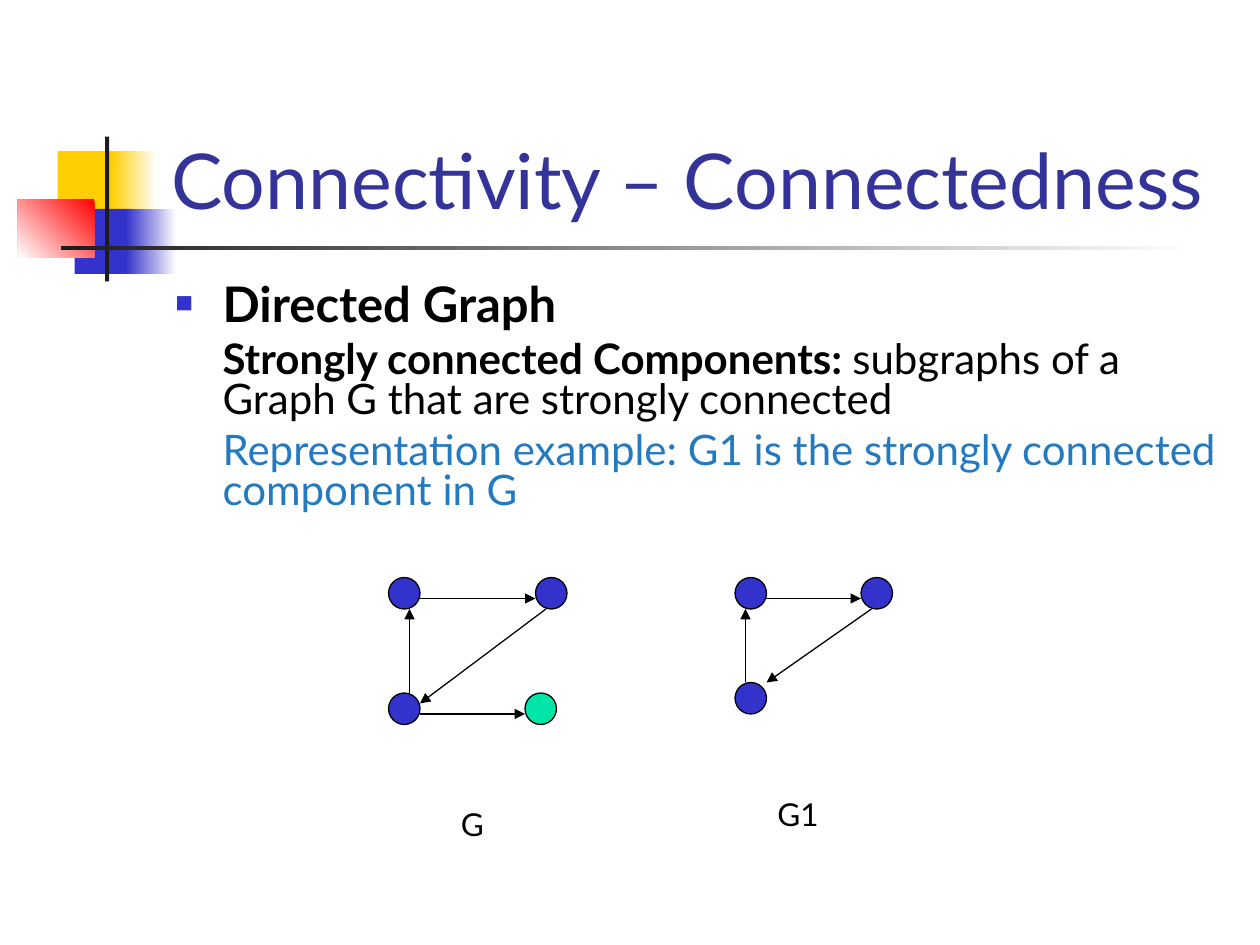
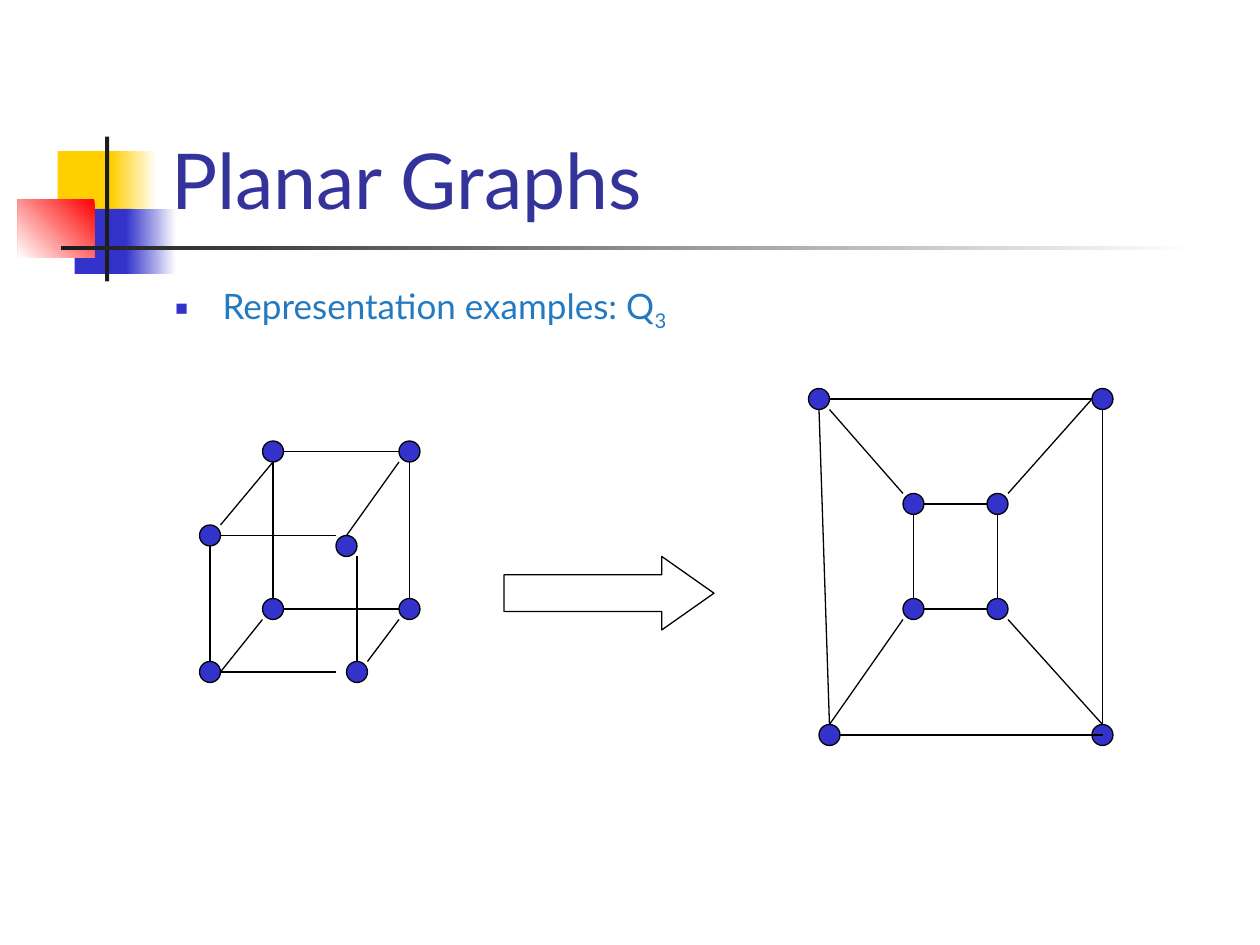
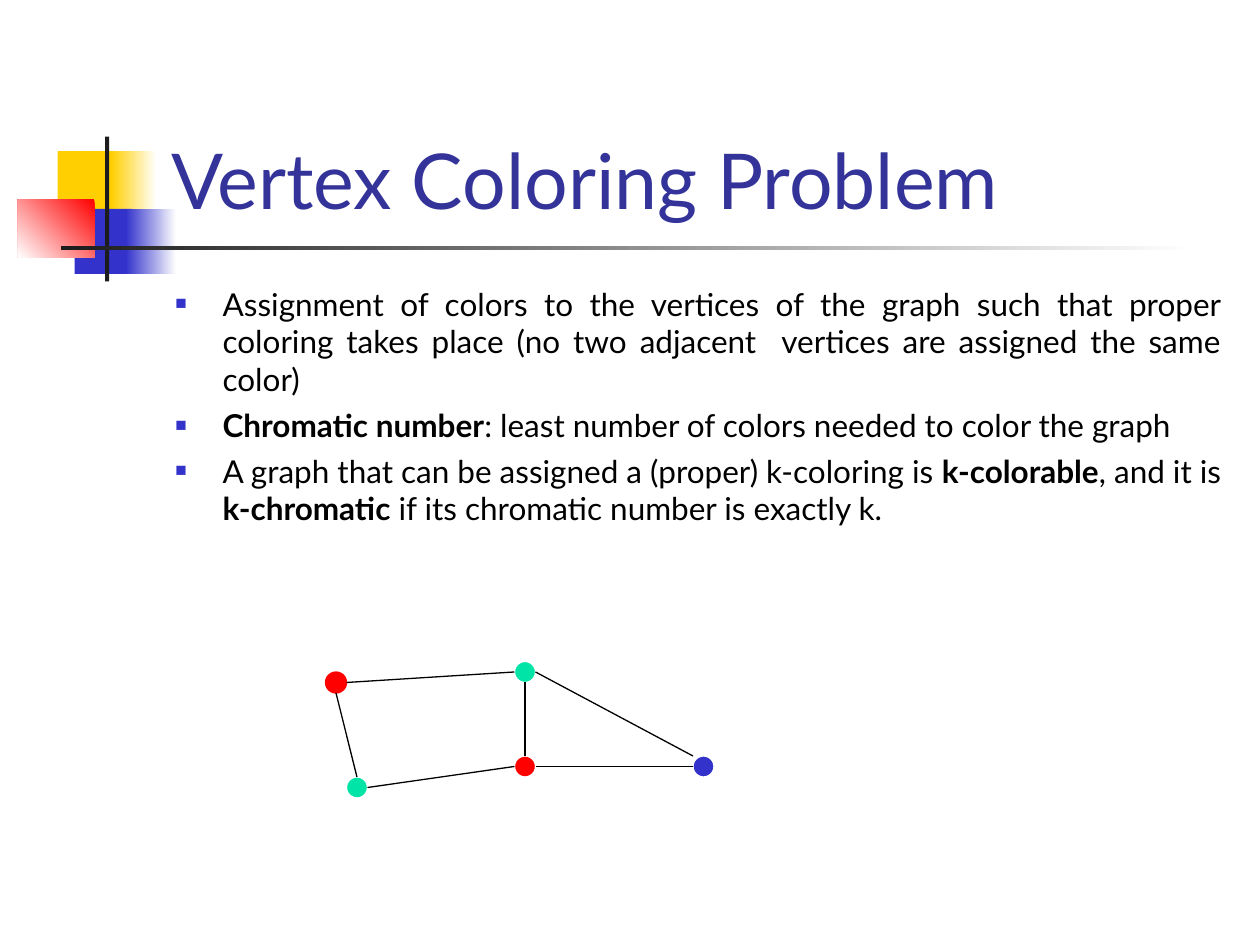
from lxml.etree import SubElement as Sub
from pptx import Presentation
from pptx.dml.color import RGBColor as Rgb
from pptx.enum.shapes import MSO_CONNECTOR as Link, MSO_SHAPE as Kind
from pptx.enum.text import MSO_ANCHOR as Anchor, MSO_AUTO_SIZE as Fit, PP_ALIGN as Align
from pptx.oxml.ns import qn
from pptx.util import Emu, Pt

PX = 7620
FONT = "Lato"
HUES = {
    "white": "FFFFFF", "black": "000000", "ink": "1C1C1C", "gold": "FFCF01",
    "blue": "3333CC", "red": "FF0000", "green": "00E4A8", "navy": "333399",
    "sky": "237AC1",
}
TITLE = (151, 28, 1022, 192)
BODY = (155, 265)
HANG = 45
DECOR = [
    ((55, 144, 58, 62), "gold"),
    ((106, 144, 43, 62), ("white", "gold", 180)),
    ((71, 199, 55, 62), "blue"),
    ((120, 199, 48, 62), ("white", "blue", 180)),
    ((17, 190, 73, 55), ("red", "white", 225)),
    ((100, 130, 4, 138), "ink"),
    ((58, 234, 1080, 4), ("white", "ink", 180)),
]
SLIDES = [
    {
        "title": "Connectivity – Connectedness",
        "body": {"size": (1025, 235), "gap": 6, "lead": 0.8, "align": Align.LEFT},
        "paras": [
            (True, 28, "black", [("Directed Graph", True)]),
            (False, 24, "black", [
                ("Strongly connected Components: ", True),
                ("subgraphs of a Graph G that are strongly connected", False)]),
            (False, 24, "sky", [
                ("Representation example: G1 is the strongly connected component in G", False)]),
        ],
        "dot": 30,
        "nodes": [
            ("blue", "black", [(370, 550), (510, 550), (370, 660),
                               (700, 650), (820, 550), (700, 550)]),
            ("green", "black", [(500, 660)]),
        ],
        "heads": True,
        "edges": [
            (400, 570, 510, 570), (390, 660, 390, 580),
            (520, 580, 400, 670), (400, 680, 500, 680),
            (710, 650, 710, 580), (730, 570, 820, 570), (830, 580, 730, 650),
        ],
        "labels": [("G1", (740, 760, 40, 30)), ("G", (430, 770, 40, 30))],
    },
    {
        "title": "Planar Graphs",
        "body": {"size": (1020, 65), "gap": 5, "lead": 1.0, "align": Align.LEFT},
        "paras": [
            (True, 20, "sky", [("Representation examples: Q", False), ("3", False, -25000)]),
        ],
        "dot": 20,
        "nodes": [
            ("blue", "black", [
                (770, 370), (1040, 370), (780, 690), (1040, 690),
                (860, 470), (940, 470), (860, 570), (940, 570),
                (250, 420), (380, 420), (250, 570), (380, 570),
                (190, 500), (320, 510), (190, 630), (330, 630)]),
        ],
        "edges": [
            (790, 390, 860, 470), (960, 470, 1040, 380),
            (960, 590, 1050, 690), (790, 690, 860, 590),
            (880, 480, 940, 480), (880, 580, 940, 580),
            (870, 490, 870, 570), (950, 490, 950, 570),
            (790, 380, 1040, 380), (780, 390, 790, 690),
            (800, 700, 1050, 700), (1050, 390, 1050, 690),
            (270, 430, 380, 430), (270, 580, 380, 580),
            (260, 440, 260, 570), (390, 440, 390, 570),
            (210, 510, 320, 510), (210, 640, 320, 640),
            (200, 520, 200, 630), (340, 530, 340, 630),
            (210, 500, 260, 440), (330, 510, 380, 440),
            (210, 640, 250, 590), (350, 630, 380, 590),
        ],
        "arrow": (480, 530, 200, 70),
    },
    {
        "title": "Vertex Coloring Problem",
        "body": {"size": (1020, 286), "gap": 4.5, "lead": 1.0, "align": Align.JUSTIFY},
        "paras": [
            (True, 18, "black", [
                ("Assignment of colors to the vertices of the graph such that proper coloring "
                 "takes place (no two adjacent  vertices are assigned the same color)", False)]),
            (True, 18, "black", [
                ("Chromatic number", True),
                (": least number of colors needed to color the graph", False)]),
            (True, 18, "black", [
                ("A graph that can be assigned a (proper) k-coloring is ", False),
                ("k-colorable", True), (", and it is ", False), ("k-chromatic", True),
                (" if its chromatic number is exactly k.", False)]),
        ],
        "dot": 20,
        "nodes": [
            ("red", "red", [(310, 640)]),
            ("green", "white", [(330, 740), (490, 630)]),
            ("blue", "white", [(660, 720)]),
            ("red", "white", [(490, 720)]),
        ],
        "edges": [
            (330, 650, 490, 640), (320, 660, 340, 740), (350, 750, 490, 730),
            (500, 650, 500, 720), (510, 640, 660, 720), (510, 730, 660, 730),
        ],
    },
]


def rgb(name):
    return Rgb.from_string(HUES[name])


def emu(box):
    return [Emu(n * PX) for n in box]


def put(item, vals):
    for key, val in vals.items():
        setattr(item, key, val)


def place(item, box):
    put(item, dict(zip(("left", "top", "width", "height"), emu(box))))


def write(para, text, size, hue, bold=False, base=None):
    run = para.add_run()
    run.text = text
    put(run.font, {"name": FONT, "size": Pt(size), "bold": bold})
    run.font.color.rgb = rgb(hue)
    if base:
        run.font._element.set("baseline", str(base))


def stroke(line, hue):
    line.color.rgb = rgb(hue)
    line.width = Pt(0.75)


def draw(slide, kind, box, fill, edge=None):
    shape = slide.shapes.add_shape(kind, *emu(box))
    shape.shadow.inherit = False
    if isinstance(fill, tuple):
        shape.fill.gradient()
        shape.fill.gradient_angle = fill[2]
        for stop, hue in zip(shape.fill.gradient_stops, fill):
            stop.color.rgb = rgb(hue)
    else:
        shape.fill.solid()
        shape.fill.fore_color.rgb = rgb(fill)
    if edge:
        stroke(shape.line, edge)
    else:
        shape.line.fill.background()
    return shape


def join(slide, ends, head):
    link = slide.shapes.add_connector(Link.STRAIGHT, *emu(ends))
    stroke(link.line, "black")
    if head:
        Sub(link.line._get_or_add_ln(), qn("a:tailEnd"), type="triangle")
    Sub(link.element.spPr, qn("a:effectLst"))


def mark(para, shown):
    props = para._p.get_or_add_pPr()
    put_in = {"marL": HANG * PX, "indent": -HANG * PX if shown else 0}
    for key, val in put_in.items():
        props.set(key, str(val))
    if shown:
        Sub(Sub(props, qn("a:buClr")), qn("a:srgbClr"), val=HUES["blue"])
        Sub(props, qn("a:buSzPct"), val="60000")
        Sub(props, qn("a:buChar"), char="■")
    else:
        Sub(props, qn("a:buNone"))


def adorn(layout, slide):
    tree = layout.shapes.element
    for n, (box, fill) in enumerate(DECOR):
        node = draw(slide, Kind.RECTANGLE, box, fill).element
        node.xpath("./p:nvSpPr/p:cNvPr")[0].set("id", str(50 + n))
        tree.insert(2 + n, node)


def head(slide, text):
    title = slide.shapes.title
    place(title, TITLE)
    frame = title.text_frame
    put(frame, {"auto_size": Fit.NONE, "vertical_anchor": Anchor.BOTTOM, "word_wrap": True})
    para = frame.paragraphs[0]
    para.alignment = Align.LEFT
    write(para, text, 44, "navy")


def fill_body(slide, look, paras):
    body = slide.placeholders[1]
    place(body, BODY + look["size"])
    frame = body.text_frame
    put(frame, {"auto_size": Fit.NONE, "word_wrap": True})
    for n, (shown, size, hue, runs) in enumerate(paras):
        para = frame.add_paragraph() if n else frame.paragraphs[0]
        mark(para, shown)
        put(para, {"alignment": look["align"], "line_spacing": look["lead"],
                   "space_before": Pt(look["gap"] if n else 0)})
        for text, bold, *base in runs:
            write(para, text, size, hue, bold, *base)


def graph(slide, data):
    dot = data["dot"]
    for fill, edge, spots in data["nodes"]:
        for x, y in spots:
            draw(slide, Kind.OVAL, (x, y, dot, dot), fill, edge)
    for ends in data["edges"]:
        join(slide, ends, data.get("heads"))
    for text, box in data.get("labels", []):
        frame = draw(slide, Kind.RECTANGLE, box, "white", "white").text_frame
        put(frame, {"word_wrap": False, "vertical_anchor": Anchor.MIDDLE})
        para = frame.paragraphs[0]
        para.alignment = Align.CENTER
        write(para, text, 18, "black")
    if "arrow" in data:
        arrow = draw(slide, Kind.RIGHT_ARROW, data["arrow"], "white", "black")
        arrow.adjustments[0] = 0.5
        arrow.adjustments[1] = 0.71


def main():
    deck = Presentation()
    deck.slide_width, deck.slide_height = emu((1200, 900))
    layout = deck.slide_layouts[1]
    for n, data in enumerate(SLIDES):
        slide = deck.slides.add_slide(layout)
        if n == 0:
            adorn(layout, slide)
        head(slide, data["title"])
        fill_body(slide, data["body"], data["paras"])
        graph(slide, data)
    deck.save("out.pptx")


if __name__ == "__main__":
    main()
